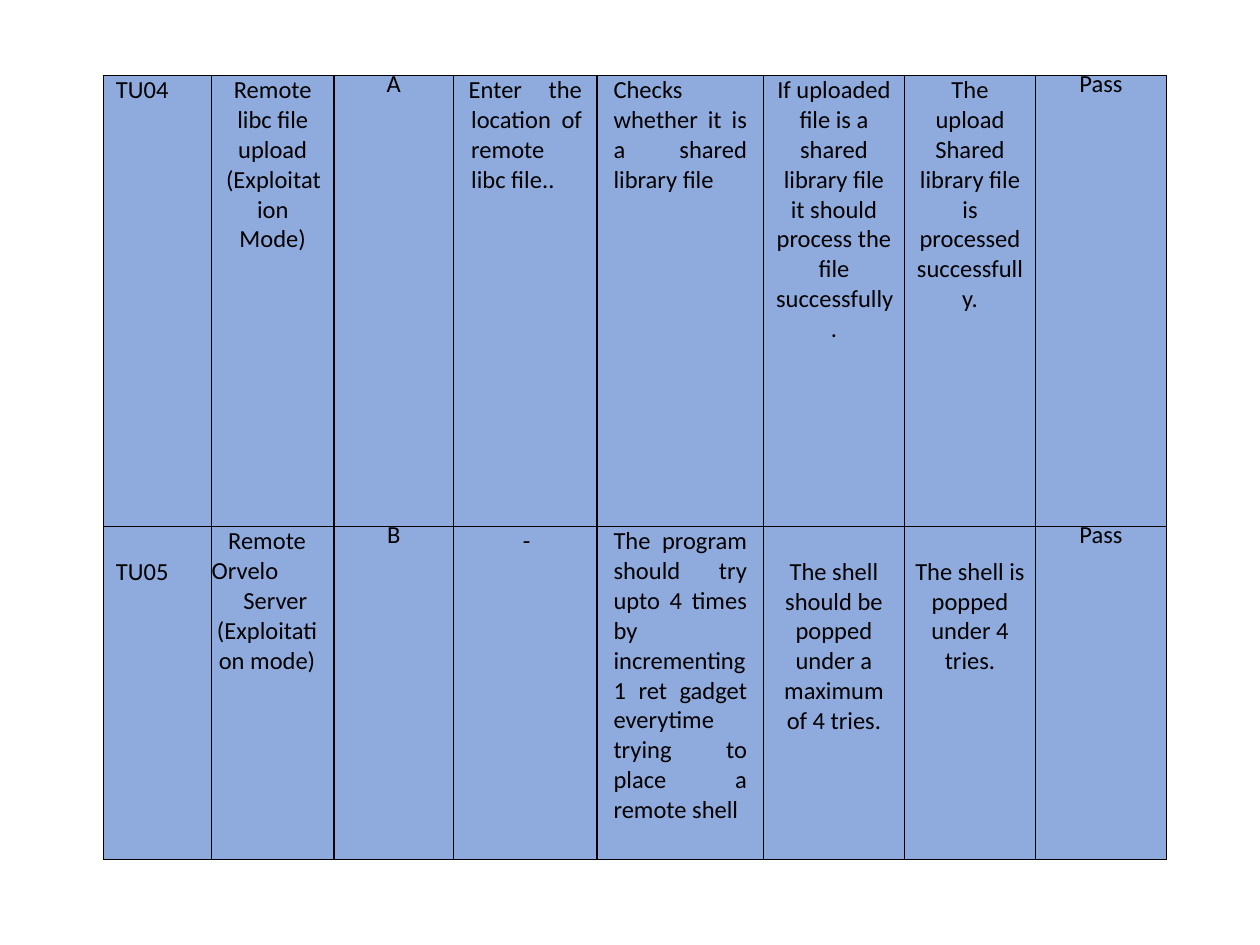
from lxml import etree
from pptx import Presentation
from pptx import util as u
from pptx.dml.color import RGBColor
from pptx.enum import text
from pptx.oxml.ns import qn

BLUE = RGBColor(0x8F, 0xAA, 0xDC)
BLACK = RGBColor(0, 0, 0)
LEFT, CENTER, JUSTIFY = text.PP_ALIGN.LEFT, text.PP_ALIGN.CENTER, text.PP_ALIGN.JUSTIFY
EXACT = u.Pt(13.6)
BLANK_LINE = 0.24

COLUMNS = [
    (0.86, dict(left=0.21, indent=-0.11)),
    (0.97, dict(align=CENTER, left=0.09, right=0.09)),
    (0.95, dict(align=CENTER, left=0.01, right=0.01, spacing=EXACT)),
    (1.14, dict(align=JUSTIFY, left=0.14, right=0.12, indent=-0.02)),
    (1.32, dict(align=JUSTIFY, left=0.13, right=0.13)),
    (1.12, dict(align=CENTER, left=0.1, right=0.1)),
    (1.04, dict(align=CENTER, left=0.08, right=0.08)),
    (1.04, dict(align=CENTER, left=0.24, right=0.24, spacing=EXACT)),
]
UPLOAD_TEST = [
    ["TU04"],
    ["Remote libc file upload", "(Exploitation Mode)"],
    ["A"],
    ["Enter the location of remote libc file.."],
    ["Checks whether it is a shared library file"],
    ["If uploaded file is a shared library file it should process the file successfully."],
    ["The upload Shared library file is processed successfully."],
    ["Pass"],
]
SERVER_TEST = [
    ["TU05"],
    ["Remote", ("Orvelo", dict(align=LEFT, right=0)),
     ("Server", dict(left=0.13, right=0.09)), "(Exploitation mode)"],
    ["B"],
    [("-", dict(align=CENTER, indent=0))],
    ["The program should try upto 4 times by incrementing 1 ret gadget "
     "everytime trying to place a remote shell"],
    ["The shell should be popped under a maximum of 4 tries."],
    ["The shell is popped under 4 tries."],
    ["Pass"],
]
ROWS = [(3.58, UPLOAD_TEST), (2.64, SERVER_TEST)]
LOWERED = {(1, 0), (1, 5), (1, 6)}
OVERRIDES = {(1, 1): dict(left=0)}


def write(p, words, align=LEFT, left=0, right=0, indent=0, spacing=None):
    p.alignment = align
    if spacing:
        p.line_spacing = spacing
    pPr = p._p.get_or_add_pPr()
    for name, value in (("marL", left), ("marR", right), ("indent", indent)):
        pPr.set(name, str(int(u.Inches(value))))
    r = p.add_run()
    r.text = words
    r.font.name = "Calibri"
    r.font.size = u.Pt(14)
    r.font.color.rgb = BLACK


def add_borders(cell):
    tcPr = cell._tc.get_or_add_tcPr()
    for i, side in enumerate(("lnL", "lnR", "lnT", "lnB")):
        ln = etree.Element(qn(f"a:{side}"), w=str(int(u.Pt(1))))
        fill = etree.SubElement(ln, qn("a:solidFill"))
        etree.SubElement(fill, qn("a:srgbClr"), val=str(BLACK))
        tcPr.insert(i, ln)


def fill_cell(cell, paragraphs, style, top):
    cell.margin_left = cell.margin_right = cell.margin_bottom = 0
    cell.margin_top = u.Inches(top)
    cell.fill.solid()
    cell.fill.fore_color.rgb = BLUE
    add_borders(cell)
    tf = cell.text_frame
    for i, item in enumerate(paragraphs):
        words, changes = (item, {}) if isinstance(item, str) else item
        p = tf.paragraphs[0] if i == 0 else tf.add_paragraph()
        write(p, words, **{**style, **changes})


def add_test_table(s):
    width = sum(w for w, _ in COLUMNS)
    height = sum(h for h, _ in ROWS)
    table = s.shapes.add_table(
        len(ROWS), len(COLUMNS), u.Inches(0.82), u.Inches(0.6),
        u.Inches(width), u.Inches(height)).table
    table.first_row = table.horz_banding = False
    for c, (w, _) in enumerate(COLUMNS):
        table.columns[c].width = u.Inches(w)
    for r, (h, contents) in enumerate(ROWS):
        table.rows[r].height = u.Inches(h)
        for c, (_, style) in enumerate(COLUMNS):
            fill_cell(table.cell(r, c), contents[c],
                      {**style, **OVERRIDES.get((r, c), {})},
                      BLANK_LINE if (r, c) in LOWERED else 0)


def main():
    prs = Presentation()
    prs.slide_width, prs.slide_height = u.Inches(10), u.Inches(7.5)
    s = prs.slides.add_slide(prs.slide_layouts[6])
    add_test_table(s)
    prs.save("out.pptx")


if __name__ == "__main__":
    main()
